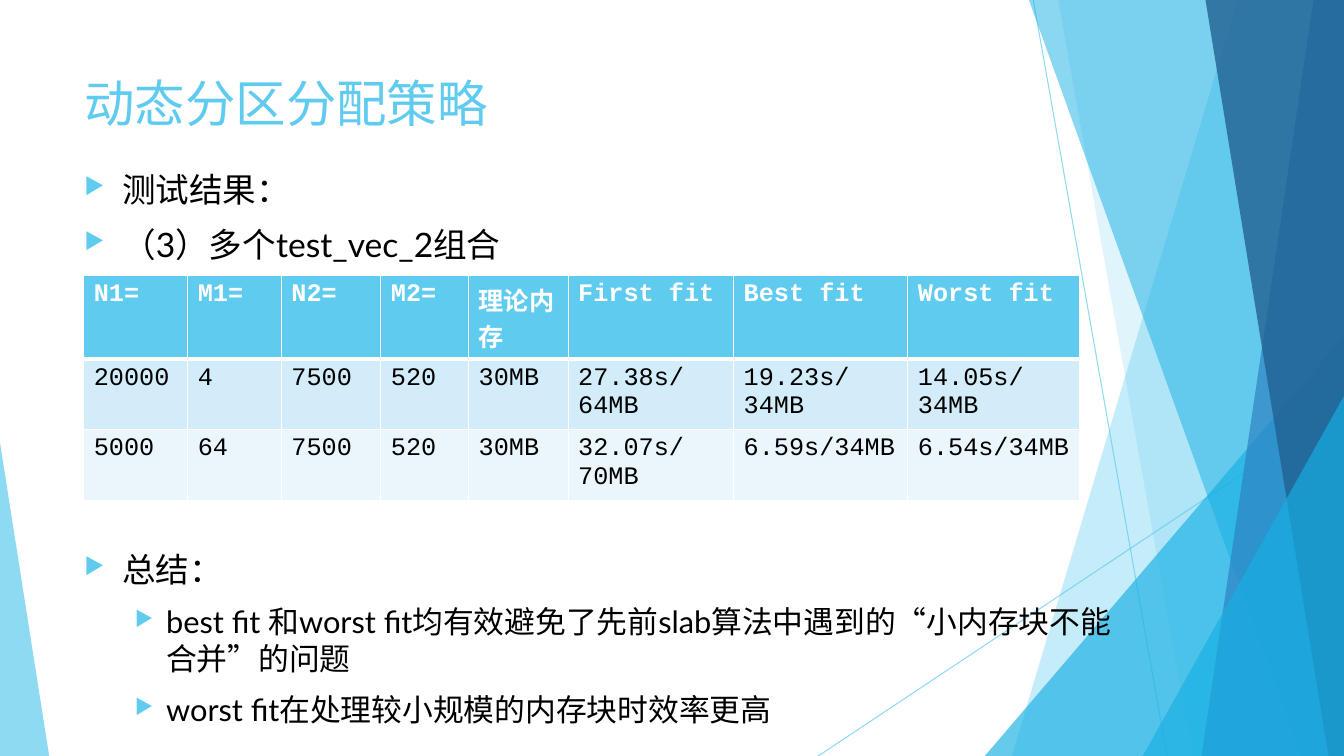
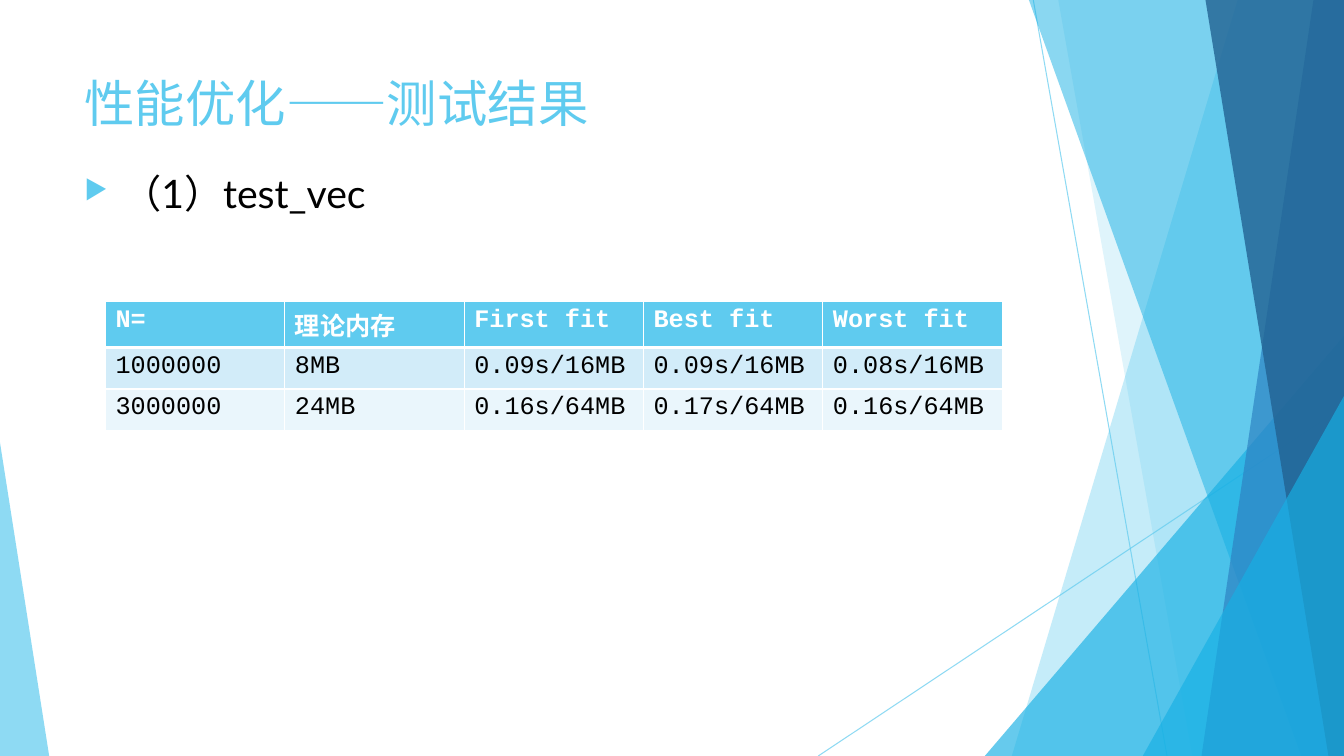
from dataclasses import dataclass

from lxml.etree import SubElement
from pptx import Presentation
from pptx.dml.color import RGBColor
from pptx.enum.shapes import MSO_CONNECTOR as Connector, MSO_SHAPE as Preset
from pptx.enum.text import MSO_ANCHOR as Anchor
from pptx.oxml.ns import qn
from pptx.util import Cm, Pt

# Shared format values
WIDTH, HEIGHT = 33.87, 19.05
SKY, CYAN, BLUE, NAVY = "5FCBEF", "17B0E4", "2E83C3", "226292"
WHITE, BLACK = "FFFFFF", "000000"
ROW_FILLS = [SKY, "D2ECF9", "EAF6FC"]
BULLET_INDENTS = [(0.95, 0.95), (2.06, 0.79)]  # left margin, hanging part
BULLET_PERCENT = 68
TITLE_FONT = {"name": "Courier New", "size": Pt(36)}
CELL_FONT = {"name": "Courier New", "size": Pt(18)}
BODY_FONT = {"name": "Lato"}


@dataclass
class Ray:
    start: tuple
    end: tuple


@dataclass
class Band:
    """Reaches from a slanted left edge to the right side of the slide."""
    top_x: float
    bottom_x: float
    color: str
    opacity: int


@dataclass
class Wedge:
    """Right-angled triangle standing on the bottom of the slide."""
    left: float
    top: float
    width: float
    apex: float
    color: str
    opacity: int


@dataclass
class Bullet:
    text: str
    size: int
    level: int = 0


@dataclass
class Body:
    top: float
    width: float
    height: float
    bullets: list


@dataclass
class Results:
    left: float
    top: float
    columns: list
    header_height: float
    row_height: float
    rows: list


@dataclass
class Page:
    title: str
    bodies: list
    results: Results


BACKDROP = [
    Ray((26.04, 0), (29.41, HEIGHT)),
    Ray((WIDTH, 10.24), (20.62, HEIGHT)),
    Band(31.19, 25.5, SKY, 36),
    Band(26.67, 30.05, SKY, 20),
    Wedge(24.82, 8.46, 9.05, 1, CYAN, 66),
    Band(25.93, 32.79, CYAN, 50),
    Band(33.1, 30.28, BLUE, 70),
    Band(30.38, 33.48, NAVY, 80),
    Wedge(28.8, 9.98, 5.07, 1, CYAN, 66),
    Wedge(0, 11.15, 1.24, 0, SKY, 70),
]

PAGES = [
    Page(
        "动态分区分配策略",
        [
            Body(4.14, 27.03, 2.7, [
                Bullet("测试结果：", 24),
                Bullet("（3）多个test_vec_2组合", 24),
            ]),
            Body(13.7, 27.03, 5, [
                Bullet("总结：", 24),
                Bullet("best fit 和worst fit均有效避免了先前slab算法中遇到的"
                       "“小内存块不能合并”的问题", 22, 1),
                Bullet("worst fit在处理较小规模的内存块时效率更高", 22, 1),
            ]),
        ],
        Results(2.11, 6.95, [2.62, 2.36, 2.51, 2.21, 2.51, 4.17, 4.39, 4.34], 2.1, 1.7, [
            ["N1=", "M1=", "N2=", "M2=", "理论内存", "First fit", "Best fit", "Worst fit"],
            ["20000", "4", "7500", "520", "30MB", "27.38s/64MB", "19.23s/34MB", "14.05s/34MB"],
            ["5000", "64", "7500", "520", "30MB", "32.07s/70MB", "6.59s/34MB", "6.54s/34MB"],
        ]),
    ),
    Page(
        "性能优化——测试结果",
        [Body(4.14, 24.13, 2.7, [Bullet("（1）test_vec", 28)])],
        Results(2.66, 7.59, [4.52] * 5, 1.17, 1.04, [
            ["N=", "理论内存", "First fit", "Best fit", "Worst fit"],
            ["1000000", "8MB", "0.09s/16MB", "0.09s/16MB", "0.08s/16MB"],
            ["3000000", "24MB", "0.16s/64MB", "0.17s/64MB", "0.16s/64MB"],
        ]),
    ),
]


# Formatting helpers
def paint(fill, color: str, opacity: int = 100) -> None:
    fill.solid()
    fill.fore_color.rgb = RGBColor.from_string(color)
    if opacity < 100:
        tint = fill._xPr.find(qn("a:solidFill"))[0]
        SubElement(tint, qn("a:alpha"), val=str(opacity * 1000))


def style_font(font, color: str, **values) -> None:
    for key, value in values.items():
        setattr(font, key, value)
    paint(font.fill, color)


def add_marker(paragraph, level: int) -> None:
    margin, hanging = BULLET_INDENTS[level]
    props = paragraph._p.get_or_add_pPr()
    props.set("marL", str(Cm(margin)))
    props.set("indent", str(-Cm(hanging)))
    tint = SubElement(props, qn("a:buClr"))
    SubElement(tint, qn("a:srgbClr"), val=SKY)
    SubElement(props, qn("a:buSzPct"), val=str(BULLET_PERCENT * 1000))
    SubElement(props, qn("a:buChar"), char="▶")


def add_borders(cell, row: int) -> None:
    widths = {"lnL": 1, "lnR": 1, "lnT": 3 if row == 1 else 1, "lnB": 3 if row == 0 else 1}
    props = cell._tc.get_or_add_tcPr()
    for side, width in widths.items():
        edge = SubElement(props, qn(f"a:{side}"), w=str(Pt(width)))
        SubElement(SubElement(edge, qn("a:solidFill")), qn("a:srgbClr"), val=WHITE)


# Backdrop
def draw_ray(slide, ray: Ray) -> None:
    points = [Cm(value) for value in ray.start + ray.end]
    line = slide.shapes.add_connector(Connector.STRAIGHT, *points)
    line.line.width = Pt(0.75)
    paint(line.line.fill, SKY, 70)
    SubElement(line._element.spPr, qn("a:effectLst"))


def draw_facet(slide, facet) -> None:
    if isinstance(facet, Band):
        outline = slide.shapes.build_freeform(Cm(facet.top_x), 0)
        corners = [(WIDTH, 0), (WIDTH, HEIGHT), (facet.bottom_x, HEIGHT)]
        outline.add_line_segments([(Cm(x), Cm(y)) for x, y in corners], close=True)
        shape = outline.convert_to_shape()
    else:
        shape = slide.shapes.add_shape(
            Preset.ISOSCELES_TRIANGLE, Cm(facet.left), Cm(facet.top),
            Cm(facet.width), Cm(HEIGHT - facet.top))
        shape.adjustments[0] = facet.apex
    shape.shadow.inherit = False
    shape.line.fill.background()
    paint(shape.fill, facet.color, facet.opacity)


def draw_backdrop(slide) -> None:
    for part in BACKDROP:
        if isinstance(part, Ray):
            draw_ray(slide, part)
        else:
            draw_facet(slide, part)


# Content
def add_frame(slide, top: float, width: float, height: float):
    frame = slide.shapes.add_textbox(Cm(1.88), Cm(top), Cm(width), Cm(height)).text_frame
    frame.word_wrap = True
    frame.vertical_anchor = Anchor.TOP
    return frame


def draw_title(slide, text: str) -> None:
    run = add_frame(slide, 1.7, 23.88, 3.66).paragraphs[0].add_run()
    run.text = text
    style_font(run.font, SKY, **TITLE_FONT)


def draw_body(slide, body: Body) -> None:
    frame = add_frame(slide, body.top, body.width, body.height)
    for index, bullet in enumerate(body.bullets):
        paragraph = frame.add_paragraph() if index else frame.paragraphs[0]
        paragraph.level = bullet.level
        paragraph.space_before = Pt(10 if index else 0)
        add_marker(paragraph, bullet.level)
        run = paragraph.add_run()
        run.text = bullet.text
        style_font(run.font, BLACK, size=Pt(bullet.size), **BODY_FONT)


def draw_results(slide, results: Results) -> None:
    rows, columns = results.rows, results.columns
    heights = [results.header_height] + [results.row_height] * (len(rows) - 1)
    grid = slide.shapes.add_table(
        len(rows), len(columns), Cm(results.left), Cm(results.top),
        Cm(sum(columns)), Cm(sum(heights))).table
    for column, width in zip(grid.columns, columns):
        column.width = Cm(width)
    for r, row in enumerate(rows):
        grid.rows[r].height = Cm(heights[r])
        for c, text in enumerate(row):
            cell = grid.cell(r, c)
            add_borders(cell, r)
            paint(cell.fill, ROW_FILLS[r])
            run = cell.text_frame.paragraphs[0].add_run()
            run.text = text
            style_font(run.font, BLACK if r else WHITE, bold=r == 0, **CELL_FONT)


def main() -> None:
    deck = Presentation()
    deck.slide_width, deck.slide_height = Cm(WIDTH), Cm(HEIGHT)
    for page in PAGES:
        slide = deck.slides.add_slide(deck.slide_layouts[6])
        draw_backdrop(slide)
        draw_title(slide, page.title)
        for body in page.bodies:
            draw_body(slide, body)
        draw_results(slide, page.results)
    deck.save("out.pptx")


if __name__ == "__main__":
    main()
